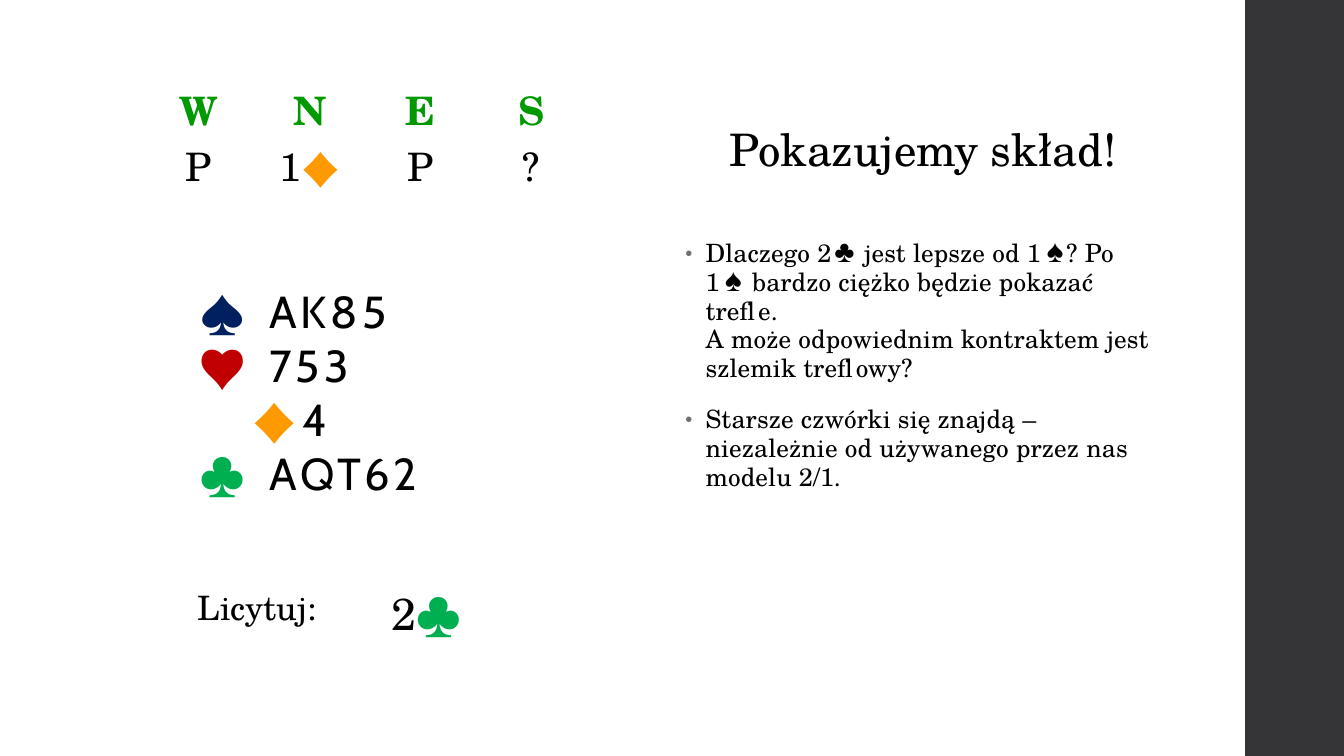
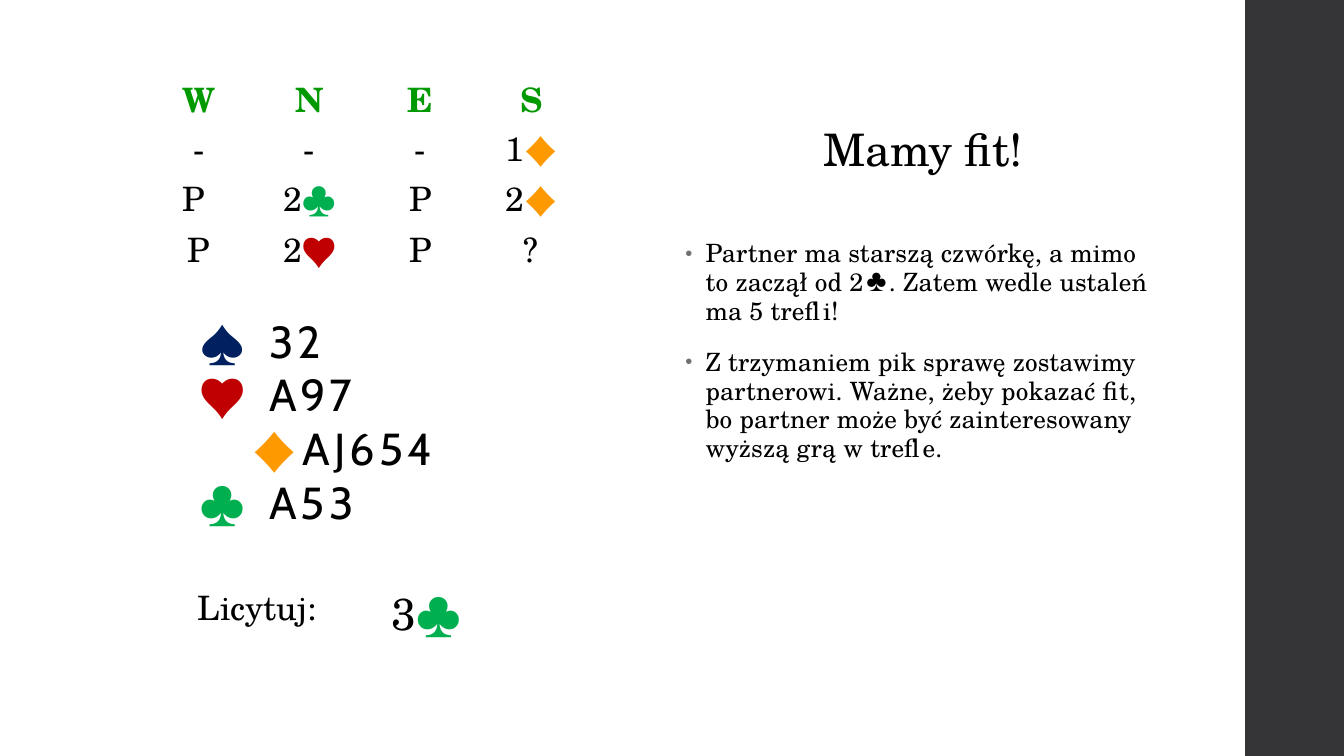
from dataclasses import dataclass
from itertools import groupby

from lxml import etree
from pptx import Presentation
from pptx import util as u
from pptx.dml import color as dml
from pptx.enum import shapes, text
from pptx.oxml import ns


@dataclass(frozen=True)
class Theme:
    serif: str = "TeX Gyre Schola"
    sans: str = "Cabin"
    ink: str = "000000"
    band: str = "353537"
    heading: str = "009900"
    bullet: str = "6F6F74"
    title_size: int = 32
    hand_size: int = 32
    answer_size: int = 32
    label_size: int = 24
    body_size: int = 18
    suit_spacing: float = 3
    body_spacing: float = 0.1


@dataclass(frozen=True)
class Problem:
    title: str
    auction: list[list[str]]
    auction_top: float
    auction_height: float
    auction_size: int
    hand: list[str]
    hand_top: float
    answer: str
    comments: list[str]


THEME = Theme()
SUITS = {"♠": "002060", "♥": "C00000", "♦": "FF9900", "♣": "00B050"}
SEATS = ["W", "N", "E", "S"]
ROW_HEIGHT = 0.41

PROBLEMS = [
    Problem(
        title="Pokazujemy skład!",
        auction=[["P", "1♦", "P", "?"]],
        auction_top=0.74,
        auction_height=1.13,
        auction_size=28,
        hand=["AK85", "753", "4", "AQT62"],
        hand_top=2.77,
        answer="2♣",
        comments=[
            "Dlaczego 2♣ jest lepsze od 1♠? Po 1♠ bardzo ciężko będzie pokazać trefle.\n"
            "A może odpowiednim kontraktem jest szlemik treflowy?",
            "Starsze czwórki się znajdą – niezależnie od używanego przez nas modelu 2/1.",
        ],
    ),
    Problem(
        title="Mamy fit!",
        auction=[
            ["-", "-", "-", "1♦"],
            ["P ", "2♣", "P", "2♦"],
            ["P", "2♥", "P", "?"],
        ],
        auction_top=0.67,
        auction_height=2,
        auction_size=24,
        hand=["32", "A97", "AJ654", "A53"],
        hand_top=3.06,
        answer="3♣",
        comments=[
            "Partner ma starszą czwórkę, a mimo to zaczął od 2♣. "
            "Zatem wedle ustaleń ma 5 trefli!",
            "Z trzymaniem pik sprawę zostawimy partnerowi. Ważne, żeby pokazać fit, "
            "bo partner może być zainteresowany wyższą grą w trefle.",
        ],
    ),
]


def style_run(span, size: int, color: str = THEME.ink, font: str = THEME.serif,
              bold: bool = False, spacing: float = 0) -> None:
    span.font.size = u.Pt(size)
    span.font.name = font
    span.font.bold = bold
    span.font.color.rgb = dml.RGBColor.from_string(color)
    span.font._element.set("spc", str(round(spacing * 100)))


def add_property(para, tag: str, **attributes: str):
    return etree.SubElement(para._p.get_or_add_pPr(), ns.qn(f"a:{tag}"), attributes)


def add_band(slide) -> None:
    band = slide.shapes.add_shape(shapes.MSO_SHAPE.RECTANGLE, u.Inches(12.35), 0,
                                  u.Inches(1), u.Inches(7.5))
    band.shadow.inherit = False
    band.fill.solid()
    band.fill.fore_color.rgb = dml.RGBColor.from_string(THEME.band)
    band.line.fill.background()


def add_title(slide, wording: str) -> None:
    title = slide.shapes.title
    title.left, title.top = u.Inches(6.7), u.Inches(1.15)
    title.width, title.height = u.Inches(4.91), u.Inches(0.64)
    frame = title.text_frame
    frame.text = wording
    frame.word_wrap = True
    frame.auto_size = text.MSO_AUTO_SIZE.SHAPE_TO_FIT_TEXT
    frame.vertical_anchor = text.MSO_ANCHOR.MIDDLE
    para = frame.paragraphs[0]
    para.alignment = text.PP_ALIGN.CENTER
    style_run(para.runs[0], THEME.title_size)


def fill_cell(cell, wording: str, size: int, centered: bool = True,
              heading: bool = False) -> None:
    cell.fill.background()
    cell.vertical_anchor = text.MSO_ANCHOR.MIDDLE
    para = cell.text_frame.paragraphs[0]
    para.alignment = text.PP_ALIGN.CENTER if centered else text.PP_ALIGN.LEFT
    for suit, letters in groupby(wording, lambda letter: letter if letter in SUITS else ""):
        span = para.add_run()
        span.text = "".join(letters)
        if suit:
            style_run(span, size, SUITS[suit], THEME.sans, spacing=THEME.suit_spacing)
        else:
            style_run(span, size, THEME.heading if heading else THEME.ink, bold=heading)


def add_plain_table(slide, left: float, top: float, height: float,
                    widths: list[float], row_count: int):
    frame = slide.shapes.add_table(row_count, len(widths), u.Inches(left), u.Inches(top),
                                   u.Inches(sum(widths)), u.Inches(height))
    table = frame.table
    table.first_row = False
    table.horz_banding = False
    for column, width in zip(table.columns, widths):
        column.width = u.Inches(width)
    for row in table.rows:
        row.height = u.Inches(ROW_HEIGHT)
    frame.height = u.Inches(height)
    return table


def add_auction(slide, problem: Problem) -> None:
    rows = [SEATS, *problem.auction]
    table = add_plain_table(slide, 1.42, problem.auction_top, problem.auction_height,
                            [1.1] * len(SEATS), len(rows))
    for r, calls in enumerate(rows):
        for c, call in enumerate(calls):
            fill_cell(table.cell(r, c), call, problem.auction_size, heading=r == 0)


def add_answer(slide, answer: str) -> None:
    table = add_plain_table(slide, 1.32, 5.7, 0.63, [2.46, 1.58], 1)
    fill_cell(table.cell(0, 0), "Licytuj:", THEME.label_size)
    fill_cell(table.cell(0, 1), answer, THEME.answer_size, centered=False)


def add_text_frame(slide, left: float, top: float, width: float, height: float):
    box = slide.shapes.add_textbox(u.Inches(left), u.Inches(top),
                                   u.Inches(width), u.Inches(height))
    box.text_frame.word_wrap = True
    return box.text_frame


def add_comments(slide, comments: list[str]) -> None:
    frame = add_text_frame(slide, 6.7, 2.33, 4.9, 4.51)
    for index, comment in enumerate(comments):
        para = frame.add_paragraph() if index else frame.paragraphs[0]
        para.text = comment
        para.line_spacing = 0.95
        para.space_before = u.Pt(14 if index else 0)
        para.space_after = u.Pt(2)
        properties = para._p.get_or_add_pPr()
        properties.set("marL", str(u.Inches(0.2)))
        properties.set("indent", str(u.Inches(-0.2)))
        bullet_color = add_property(para, "buClr")
        etree.SubElement(bullet_color, ns.qn("a:srgbClr"), val=THEME.bullet)
        add_property(para, "buSzPct", val="80000")
        add_property(para, "buFont", typeface="Arial")
        add_property(para, "buChar", char="•")
        for span in para.runs:
            style_run(span, THEME.body_size, spacing=THEME.body_spacing)


def add_hand(slide, problem: Problem) -> None:
    frame = add_text_frame(slide, 1.87, problem.hand_top, 3.49, 2.26)
    frame.auto_size = text.MSO_AUTO_SIZE.SHAPE_TO_FIT_TEXT
    for index, (suit, cards) in enumerate(zip(SUITS, problem.hand)):
        para = frame.add_paragraph() if index else frame.paragraphs[0]
        if suit == "♦":
            para._p.get_or_add_pPr().set("marL", str(u.Inches(0.03)))
            para._p.get_or_add_pPr().set("indent", "0")
        tabs = add_property(para, "tabLst")
        for position, alignment in ((0.5, "r"), (0.7, "l")):
            etree.SubElement(tabs, ns.qn("a:tab"), pos=str(u.Inches(position)),
                             algn=alignment)
        for wording, color in ((f"\t{suit}\t", SUITS[suit]), (cards, THEME.ink)):
            span = para.add_run()
            span.text = wording
            style_run(span, THEME.hand_size, color, THEME.sans,
                      spacing=THEME.suit_spacing)


def add_problem(deck, problem: Problem) -> None:
    slide = deck.slides.add_slide(deck.slide_layouts[5])
    add_band(slide)
    add_title(slide, problem.title)
    add_auction(slide, problem)
    add_comments(slide, problem.comments)
    add_hand(slide, problem)
    add_answer(slide, problem.answer)


def main() -> None:
    deck = Presentation()
    deck.slide_width = u.Inches(13.33)
    deck.slide_height = u.Inches(7.5)
    for problem in PROBLEMS:
        add_problem(deck, problem)
    deck.save("out.pptx")


if __name__ == "__main__":
    main()
